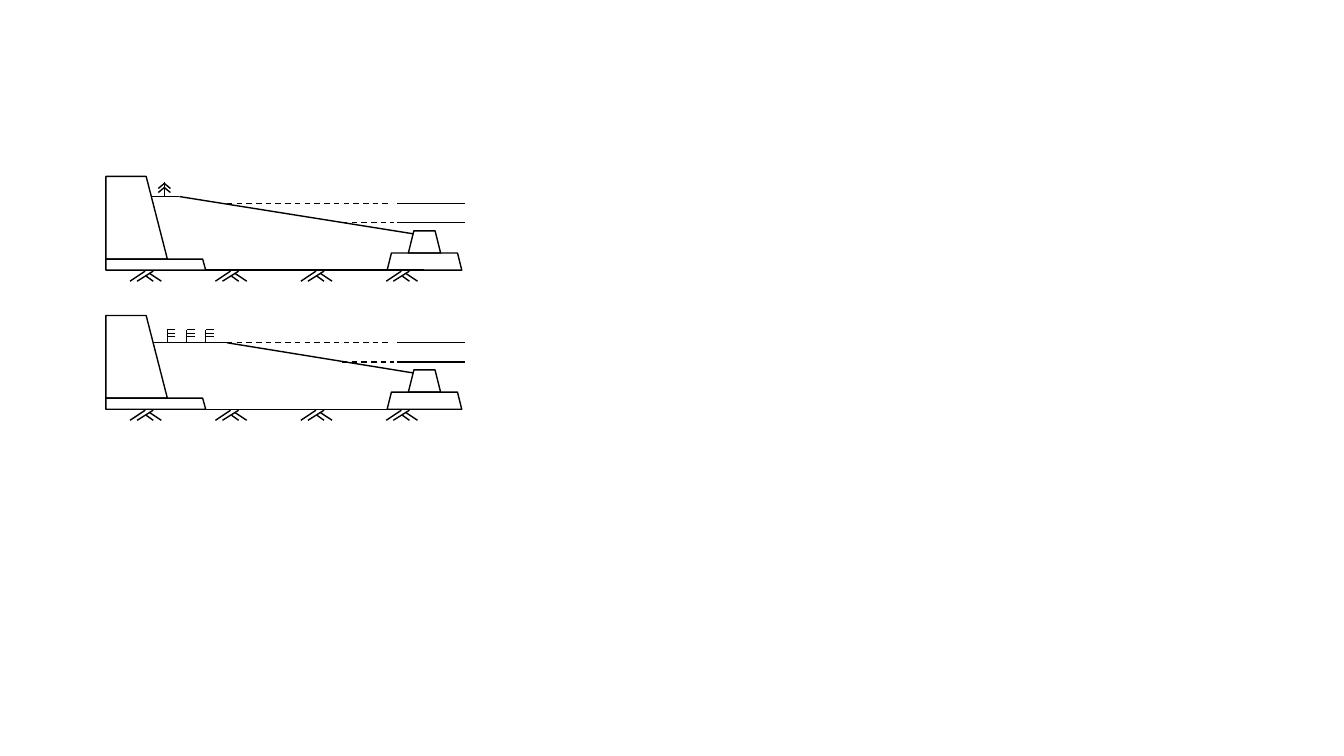
"""Two cross-sections of a dike with a foreshore: one with a tree, one with reeds."""
from lxml import etree
from pptx import Presentation
from pptx.dml.color import RGBColor
from pptx.enum.dml import MSO_LINE
from pptx.enum.shapes import MSO_CONNECTOR, MSO_SHAPE
from pptx.oxml.ns import qn
from pptx.util import Inches, Pt

BLACK = RGBColor(0, 0, 0)
CELL = Inches(0.01)

prs = Presentation()
prs.slide_width, prs.slide_height = Inches(13.33), Inches(7.5)
s = prs.slides.add_slide(prs.slide_layouts[6])


def line(grp, top, x1, y1, x2, y2, dash=None):
    ends = [int(v * CELL) for v in (x1, top + y1, x2, top + y2)]
    c = grp.shapes.add_connector(MSO_CONNECTOR.STRAIGHT, *ends)
    c.line.color.rgb, c.line.width = BLACK, Pt(1)
    c.line.dash_style = dash
    etree.SubElement(c._element.spPr, qn("a:effectLst"))


def outline(sp):
    sp.shadow.inherit = False
    sp.fill.background()
    sp.line.color.rgb, sp.line.width = BLACK, Pt(1)


wall = [(105, 82), (105, 0), (145, 0), (166, 82)]
footing = [(105, 93), (105, 82), (201, 82), (204, 93)]
toe = [(384, 76, 74, 17), (405, 54, 32, 22)]
hatch = [(15, 0, 0, 10), (23, 0, 7, 10), (19, 2, 31, 10), (16, 5, 23, 10)]
water = [(27, 225, 388), (46, 339, 391)]

for top, berm_left, berm_right, berm_row, plant in [
        (313, 153, 225, 27, "reeds"), (175, 150, 178, 20, "tree")]:
    grp = s.shapes.add_group_shape()
    for points in (wall, footing):
        (x, y), *rest = [(x, top + y) for x, y in points]
        fb = grp.shapes.build_freeform(x, y, scale=CELL)
        fb.add_line_segments(rest, close=True)
        outline(fb.convert_to_shape())
    line(grp, top, 204, 93, 421, 93)
    for x, y, w, h in toe:
        box = [v * CELL for v in (x, top + y, w, h)]
        outline(grp.shapes.add_shape(MSO_SHAPE.TRAPEZOID, *box))
    line(grp, top, 410, 57, berm_right, berm_row)
    for i in range(4):
        x = 129 + 84.7 * i
        for x1, y1, x2, y2 in hatch:
            line(grp, top + 94, x + x1, y1, x + x2, y2)
    for row, dash_left, dash_right in water:
        line(grp, top, 394, row, 461, row)
        line(grp, top, dash_left, row, dash_right, row, MSO_LINE.DASH)
    line(grp, top, berm_right, berm_row, berm_left, berm_row)
    if plant == "reeds":
        for x in (166, 185, 204):
            line(grp, top, x, 27, x, 14)
            for row in (14, 18, 21):
                line(grp, top, x + 8, row, x, row)
    else:
        line(grp, top, 163, 19, 163, 6)
        for side in (6, -6):
            for row in (7, 11):
                line(grp, top, 163 + side, row + 5, 163, row)

prs.save("out.pptx")
